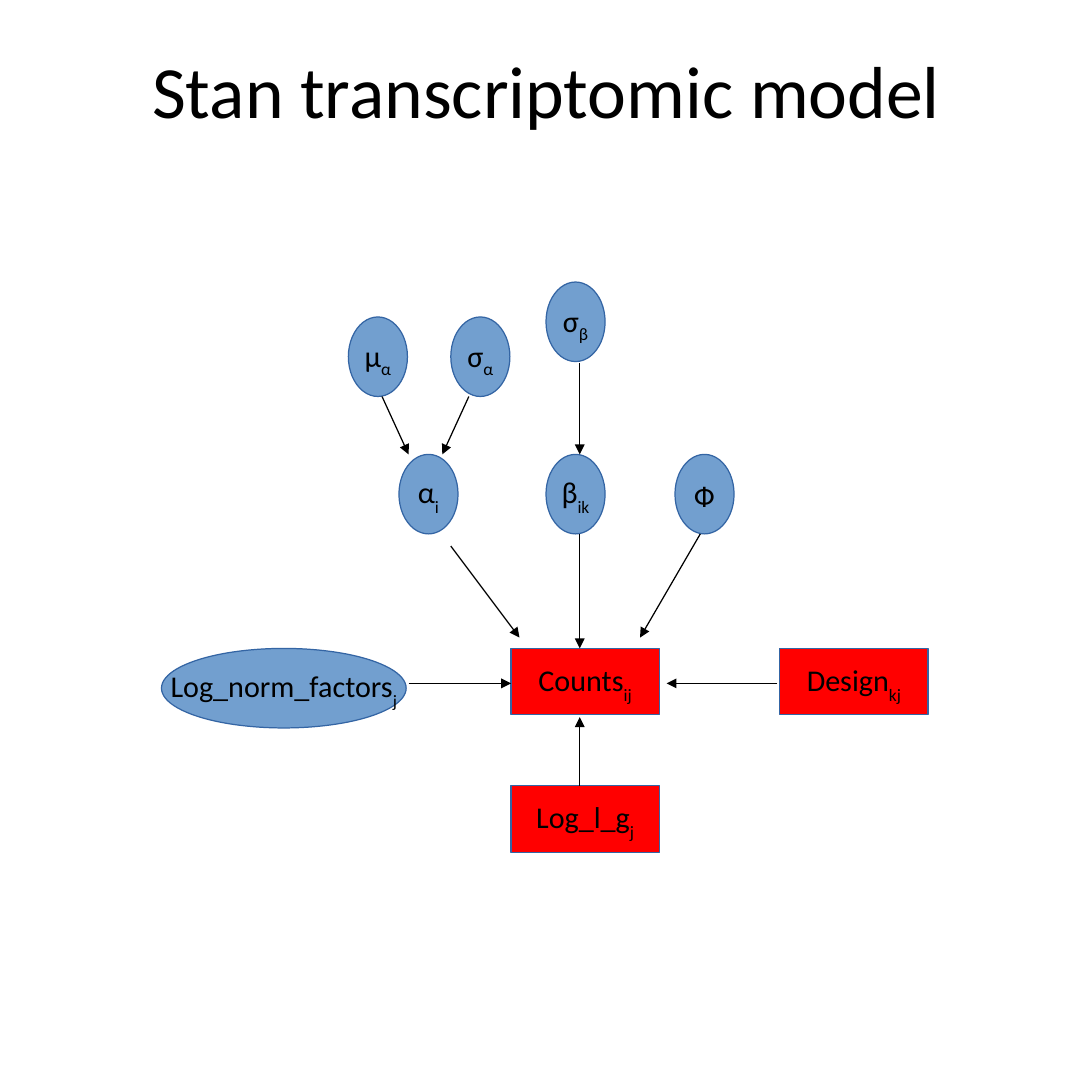
from typing import NamedTuple

from pptx import Presentation
from pptx import util as u
from pptx.dml.color import RGBColor
from pptx.enum import shapes, text
from pptx.oxml.ns import qn
from lxml import etree

COLORS = {"ink": "000000", "parameter": "729FCF", "data": "FF0000", "outline": "3465A4"}
FONT = "Calibri"
SIDE = 9.06
OUTLINE_WIDTH = 0.75

# Grid in inches: left edges of the columns, top edges of the rows
COLS = {"norm": 1.34, "mu": 2.89, "alpha": 3.31, "sigma": 3.74, "counts": 4.24,
        "beta": 4.53, "phi": 5.6, "design": 6.47}
ROWS = {"beta_prior": 2.34, "alpha_prior": 2.63, "effects": 3.77, "data": 5.38, "length": 6.52}
CIRCLE, WIDE, BOX = (0.49, 0.66), (2.03, 0.66), (1.23, 0.55)
AXIS_X, FLOW_Y = 4.81, 5.67
PRIOR_BASE = ROWS["alpha_prior"] + CIRCLE[1]
EFFECT_BASE = ROWS["effects"] + CIRCLE[1]

FRAME = {"vertical_anchor": text.MSO_ANCHOR.MIDDLE, "margin_left": u.Inches(0.1),
         "margin_right": u.Inches(0.1), "margin_bottom": u.Inches(0.05)}


class Node(NamedTuple):
    label: str
    index: str
    col: str
    row: str
    size: tuple[float, float] = CIRCLE
    role: str = "parameter"
    drop: int = -33


class Arrow(NamedTuple):
    start: tuple[float, float]
    end: tuple[float, float]


NODES = [
    Node("Counts", "ij", "counts", "data", BOX, "data"),
    Node("Design", "kj", "design", "data", BOX, "data"),
    Node("Log_l_g", "j", "counts", "length", BOX, "data"),
    Node("Log_norm_factors", "j", "norm", "data", WIDE),
    Node("α", "i", "alpha", "effects"),
    Node("β", "ik", "beta", "effects"),
    Node("Ф", "", "phi", "effects"),
    Node("σ", "β", "beta", "beta_prior", drop=-25),
    Node("μ", "α", "mu", "alpha_prior", drop=-25),
    Node("σ", "α", "sigma", "alpha_prior", drop=-25),
]

ARROWS = [
    # Priors to effects
    Arrow((3.17, PRIOR_BASE), (3.39, ROWS["effects"])),
    Arrow((3.89, PRIOR_BASE), (3.67, ROWS["effects"])),
    Arrow((AXIS_X, 3.01), (AXIS_X, ROWS["effects"])),
    # Effects to counts
    Arrow((3.74, 4.53), (4.31, 5.29)),
    Arrow((AXIS_X, EFFECT_BASE), (AXIS_X, ROWS["data"])),
    Arrow((5.81, EFFECT_BASE), (5.31, 5.29)),
    # Known inputs to counts
    Arrow((3.39, FLOW_Y), (COLS["counts"], FLOW_Y)),
    Arrow((6.45, FLOW_Y), (5.53, FLOW_Y)),
    Arrow((AXIS_X, ROWS["length"]), (AXIS_X, 5.95)),
]


def rgb(key: str) -> RGBColor:
    return RGBColor.from_string(COLORS[key])


def write(frame, pieces: list[tuple[str, int]], size: int, top: float, wrap: bool) -> None:
    """Fill a text frame with centred runs, each with its baseline shift in percent."""
    for key, value in {**FRAME, "margin_top": u.Inches(top), "word_wrap": wrap}.items():
        setattr(frame, key, value)
    line = frame.paragraphs[0]
    line.alignment = text.PP_ALIGN.CENTER
    for words, shift in pieces:
        run = line.add_run()
        run.text = words
        for key, value in {"name": FONT, "size": u.Pt(size)}.items():
            setattr(run.font, key, value)
        run.font.color.rgb = rgb("ink")
        if shift:
            run.font._element.set("baseline", str(shift * 1000))


def draw_node(slide, node: Node) -> None:
    kind = shapes.MSO_SHAPE.RECTANGLE if node.role == "data" else shapes.MSO_SHAPE.OVAL
    place = (COLS[node.col], ROWS[node.row], *node.size)
    body = slide.shapes.add_shape(kind, *map(u.Inches, place))
    body.shadow.inherit = False
    body.fill.solid()
    body.fill.fore_color.rgb = rgb(node.role)
    body.line.color.rgb = rgb("outline")
    body.line.width = u.Pt(OUTLINE_WIDTH)
    pieces = [(node.label, 0)] + ([(node.index, node.drop)] if node.index else [])
    write(body.text_frame, pieces, 18, 0.07, False)


def draw_arrow(slide, arrow: Arrow) -> None:
    link = slide.shapes.add_connector(
        shapes.MSO_CONNECTOR.STRAIGHT, *map(u.Inches, arrow.start + arrow.end))
    link.line.color.rgb = rgb("ink")
    link.line.width = u.Pt(OUTLINE_WIDTH)
    etree.SubElement(link.line._get_or_add_ln(), qn("a:tailEnd"), type="triangle")
    etree.SubElement(link._element.spPr, qn("a:effectLst"))


deck = Presentation()
deck.slide_width = deck.slide_height = u.Inches(SIDE)
model = deck.slides.add_slide(deck.slide_layouts[6])

# Title
title = model.shapes.add_textbox(*map(u.Inches, (0.46, 0, 8.15, 1.51)))
write(title.text_frame, [("Stan transcriptomic model", 0)], 44, 0.02, True)

# Model graph
for node in NODES:
    draw_node(model, node)
for arrow in ARROWS:
    draw_arrow(model, arrow)

deck.save("out.pptx")
